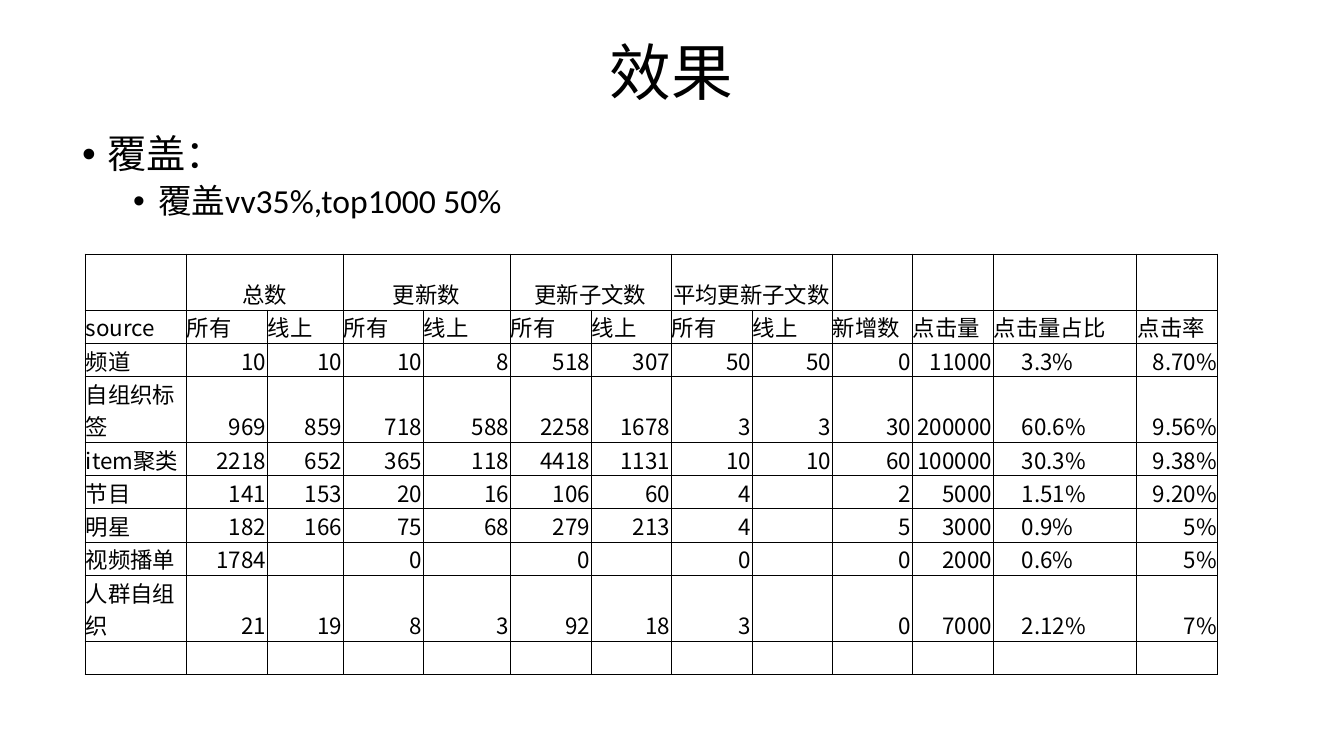
from lxml import etree
from pptx import Presentation
from pptx import util as u
from pptx.dml.color import RGBColor
from pptx.enum import text
from pptx.oxml import ns

TITLE = "效果"
BULLETS = [  # text, level, size, space before, left indent in px
    ("覆盖：", 0, 28, 10, 25),
    ("覆盖vv35%,top1000 50%", 1, 24, 5, 76),
]
GROUPS = ["总数", "更新数", "更新子文数", "平均更新子文数"]
HEADER = ["source"] + ["所有", "线上"] * len(GROUPS) + ["新增数", "点击量", "点击量占比", "点击率"]
SOURCES = [
    ("频道", "10", "10", "10", "8", "518", "307", "50", "50", "0", "11000", "3.3%", "8.70%"),
    ("自组织标签", "969", "859", "718", "588", "2258", "1678", "3", "3", "30", "200000", "60.6%", "9.56%"),
    ("item聚类", "2218", "652", "365", "118", "4418", "1131", "10", "10", "60", "100000", "30.3%", "9.38%"),
    ("节目", "141", "153", "20", "16", "106", "60", "4", "", "2", "5000", "1.51%", "9.20%"),
    ("明星", "182", "166", "75", "68", "279", "213", "4", "", "5", "3000", "0.9%", "5%"),
    ("视频播单", "1784", "", "0", "", "0", "", "0", "", "0", "2000", "0.6%", "5%"),
    ("人群自组织", "21", "19", "8", "3", "92", "18", "3", "", "0", "7000", "2.12%", "7%"),
]
COL_WIDTHS = [101, 81, 76, 80, 87, 81, 80, 81, 80, 80, 81, 144, 81]
ROW_HEIGHT = 28
TALL_ROWS = {0, 3, 8}
SHARE_COL = HEADER.index("点击量占比")

BLACK = RGBColor(0, 0, 0)
WHITE = RGBColor(255, 255, 255)
BODY_FONT, TABLE_FONT = "Calibri", "Noto Sans CJK SC"
ALIGN = text.PP_ALIGN


def px(n):
    return u.Emu(round(n * 914400 / 100.8))


def place(sp, x, y, w, h):
    sp.left, sp.top, sp.width, sp.height = px(x), px(y), px(w), px(h)


def add_run(p, words, size, font):
    r = p.add_run()
    r.text = words
    r.font.size, r.font.name = u.Pt(size), font
    r.font.color.rgb = BLACK
    return r


def add_child(parent, tag, **attrs):
    return etree.SubElement(parent, ns.qn(tag), attrs)


def add_borders(cell):
    tc_pr = cell._tc.get_or_add_tcPr()
    for side in "LRTB":
        ln = add_child(tc_pr, f"a:ln{side}", w=str(u.Pt(0.5)))
        fill = add_child(ln, "a:solidFill")
        add_child(fill, "a:srgbClr", val=str(BLACK))


def fill_cell(cell, words, align, indent):
    cell.margin_left, cell.margin_right = px(1 + indent), px(1)
    cell.margin_top, cell.margin_bottom = px(1), 0
    cell.vertical_anchor = text.MSO_ANCHOR.BOTTOM
    add_borders(cell)
    cell.fill.background()
    p = cell.text_frame.paragraphs[0]
    p.alignment = align
    if words:
        r_pr = add_run(p, words, 16, TABLE_FONT)._r.get_or_add_rPr()
    else:
        r_pr = add_child(p._p, "a:endParaRPr", sz="1600")
        add_child(r_pr, "a:latin", typeface=TABLE_FONT)
    add_child(r_pr, "a:ea", typeface=TABLE_FONT)


def add_bullets(tf):
    for i, (words, level, size, before, indent) in enumerate(BULLETS):
        p = tf.add_paragraph() if i else tf.paragraphs[0]
        p.level, p.line_spacing, p.space_before = level, 0.9, u.Pt(before)
        p_pr = p._p.get_or_add_pPr()
        p_pr.set("marL", str(px(indent)))
        p_pr.set("indent", str(px(-25)))
        add_child(p_pr, "a:buFont", typeface="Arial")
        add_child(p_pr, "a:buChar", char="•")
        add_run(p, words, size, BODY_FONT)


def add_source_table(s):
    group_row = [""] * len(HEADER)
    group_row[1:1 + 2 * len(GROUPS):2] = GROUPS
    rows = [group_row, HEADER, *SOURCES, [""] * len(HEADER)]
    heights = [ROW_HEIGHT * (2 if i in TALL_ROWS else 1) for i in range(len(rows))]
    frame = s.shapes.add_table(len(rows), len(HEADER), px(85), px(254),
                               px(sum(COL_WIDTHS)), px(sum(heights)))
    table = frame.table
    table.first_row = table.horz_banding = False
    for col, width in zip(table.columns, COL_WIDTHS):
        col.width = px(width)
    for i, (row, height) in enumerate(zip(rows, heights)):
        table.rows[i].height = px(height)
        for j, words in enumerate(row):
            is_value = i > 1 and j > 0
            is_share = is_value and j == SHARE_COL
            align = ALIGN.CENTER if i == 0 else ALIGN.LEFT
            if is_value and not is_share:
                align = ALIGN.RIGHT
            fill_cell(table.cell(i, j), words, align, 28 if is_share else 0)
    for k in range(len(GROUPS)):
        table.cell(0, 1 + 2 * k).merge(table.cell(0, 2 + 2 * k))


def main():
    prs = Presentation()
    prs.slide_width, prs.slide_height = px(1344), px(756)
    s = prs.slides.add_slide(prs.slide_layouts[1])
    s.background.fill.solid()
    s.background.fill.fore_color.rgb = WHITE

    title, body = s.shapes.title, s.placeholders[1]
    place(title, 92, 3, 1159, 146)
    place(body, 72, 130, 1159, 480)
    for sp in (title, body):
        sp.text_frame.word_wrap = True
        sp.text_frame.auto_size = text.MSO_AUTO_SIZE.NONE
    title.text_frame.vertical_anchor = text.MSO_ANCHOR.MIDDLE
    p = title.text_frame.paragraphs[0]
    p.alignment, p.line_spacing = ALIGN.CENTER, 0.9
    add_run(p, TITLE, 44, BODY_FONT)
    add_bullets(body.text_frame)
    add_source_table(s)
    prs.save("out.pptx")


if __name__ == "__main__":
    main()
